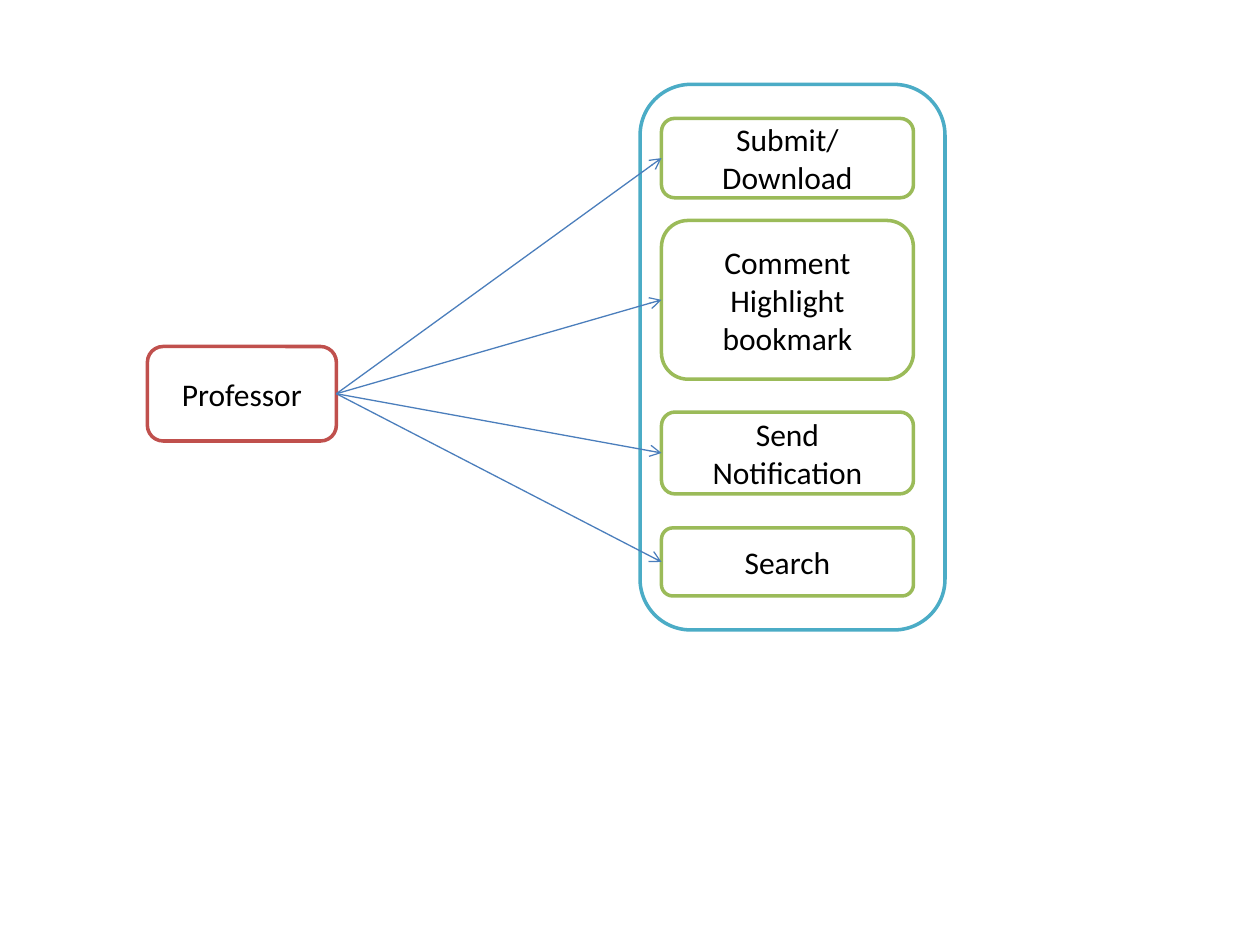
"""Builds a use case slide linking a professor to four document actions."""
import pptx
import pptx.dml.color
import pptx.enum.shapes
import pptx.enum.text
import pptx.oxml
import pptx.oxml.ns
import pptx.util

Inches = pptx.util.Inches
RIGHT_SIDE, LEFT_SIDE = 3, 1


def colour(value):
    """Turn a hex string into a colour."""
    return pptx.dml.color.RGBColor.from_string(value)


class Diagram:
    """Holds the style and the current page."""

    font = "Calibri"
    text_size = 18
    text_colour = "000000"
    fill = "FFFFFF"
    border_width = 2
    arrow_colour = "4B7EBC"
    arrow_width = 0.75

    def __init__(self, page):
        """Draw on the given page."""
        self.page = page

    def box(self, left, top, width, height, border, lines=()):
        """Add a rounded box with one centred paragraph per line."""
        box = self.page.shapes.add_shape(
            pptx.enum.shapes.MSO_SHAPE.ROUNDED_RECTANGLE,
            Inches(left), Inches(top), Inches(width), Inches(height))
        box.shadow.inherit = False
        box.fill.solid()
        box.fill.fore_color.rgb = colour(self.fill)
        box.line.color.rgb = colour(border)
        box.line.width = pptx.util.Pt(self.border_width)
        frame = box.text_frame
        frame.word_wrap = True
        frame.vertical_anchor = pptx.enum.text.MSO_ANCHOR.MIDDLE
        for index, line in enumerate(lines):
            para = frame.add_paragraph() if index else frame.paragraphs[0]
            para.alignment = pptx.enum.text.PP_ALIGN.CENTER
            span = para.add_run()
            span.text = line
            span.font.name = self.font
            span.font.size = pptx.util.Pt(self.text_size)
            span.font.color.rgb = colour(self.text_colour)
        return box

    def arrow(self, source, target):
        """Join the right side of one box to the left side of another."""
        arrow = self.page.shapes.add_connector(
            pptx.enum.shapes.MSO_CONNECTOR.STRAIGHT, 0, 0, 0, 0)
        arrow.begin_connect(source, RIGHT_SIDE)
        arrow.end_connect(target, LEFT_SIDE)
        arrow.line.color.rgb = colour(self.arrow_colour)
        arrow.line.width = pptx.util.Pt(self.arrow_width)
        properties = arrow._element.spPr
        head = pptx.oxml.parse_xml(
            f'<a:tailEnd {pptx.oxml.ns.nsdecls("a")} type="arrow"/>')
        properties.find(pptx.oxml.ns.qn("a:ln")).append(head)
        properties.append(pptx.oxml.parse_xml(
            f'<a:effectLst {pptx.oxml.ns.nsdecls("a")}/>'))


def main():
    """Build and save the deck."""
    deck = pptx.Presentation()
    deck.slide_width, deck.slide_height = Inches(10), Inches(7.5)
    diagram = Diagram(deck.slides.add_slide(deck.slide_layouts[6]))

    diagram.box(5.08, 0.67, 2.42, 4.33, "4BACC6")
    actions = [
        (0.94, 0.63, ["Submit/", "Download"]),
        (1.75, 1.26, ["Comment", "Highlight", "bookmark"]),
        (3.27, 0.65, ["Send Notification"]),
        (4.19, 0.54, ["Search"]),
    ]
    action_boxes = [diagram.box(5.25, top, 2, height, "9BBB59", lines)
                    for top, height, lines in actions]
    professor = diagram.box(1.17, 2.75, 1.5, 0.75, "C0504D", ["Professor"])
    for action_box in action_boxes:
        diagram.arrow(professor, action_box)

    deck.save("out.pptx")


if __name__ == "__main__":
    main()
